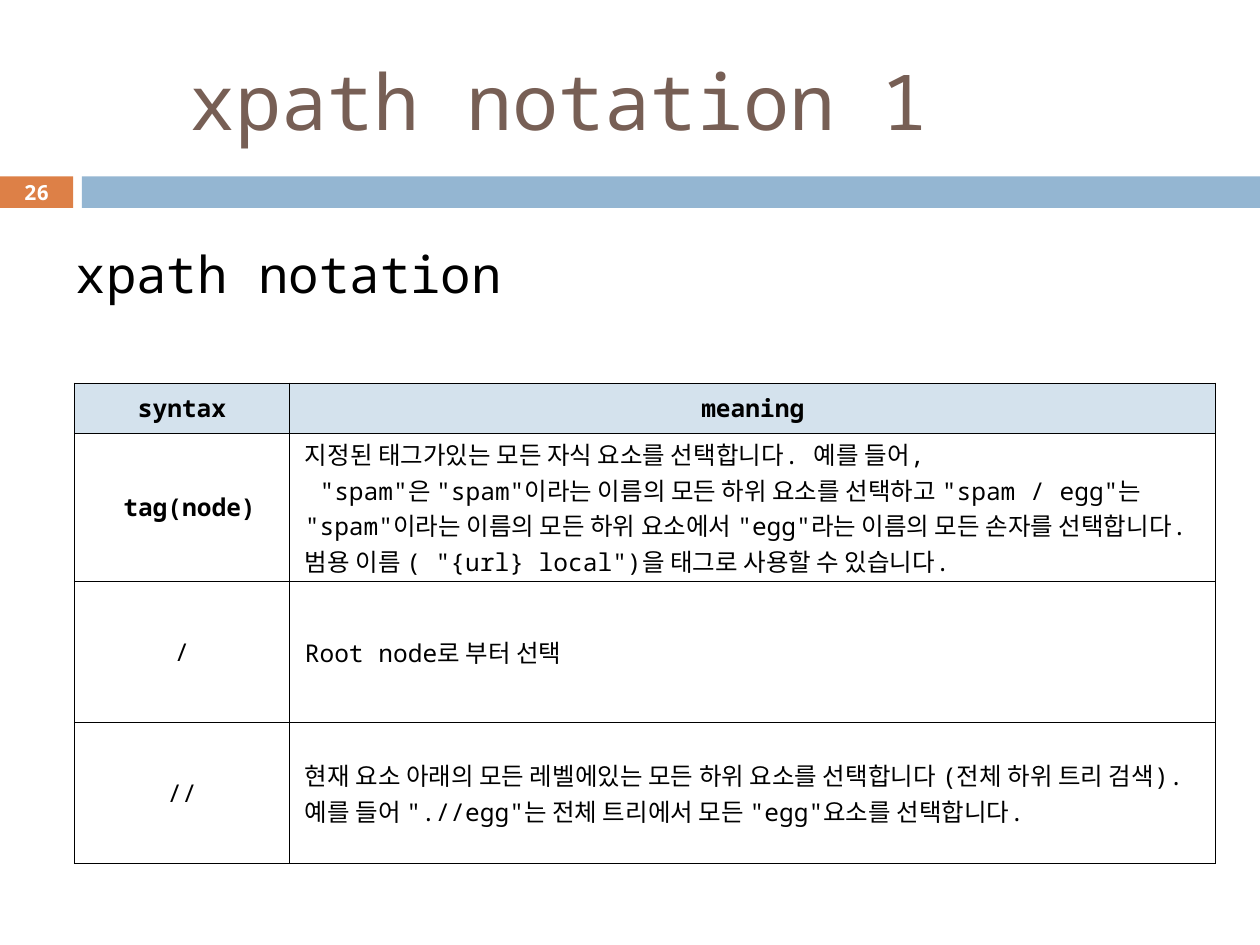
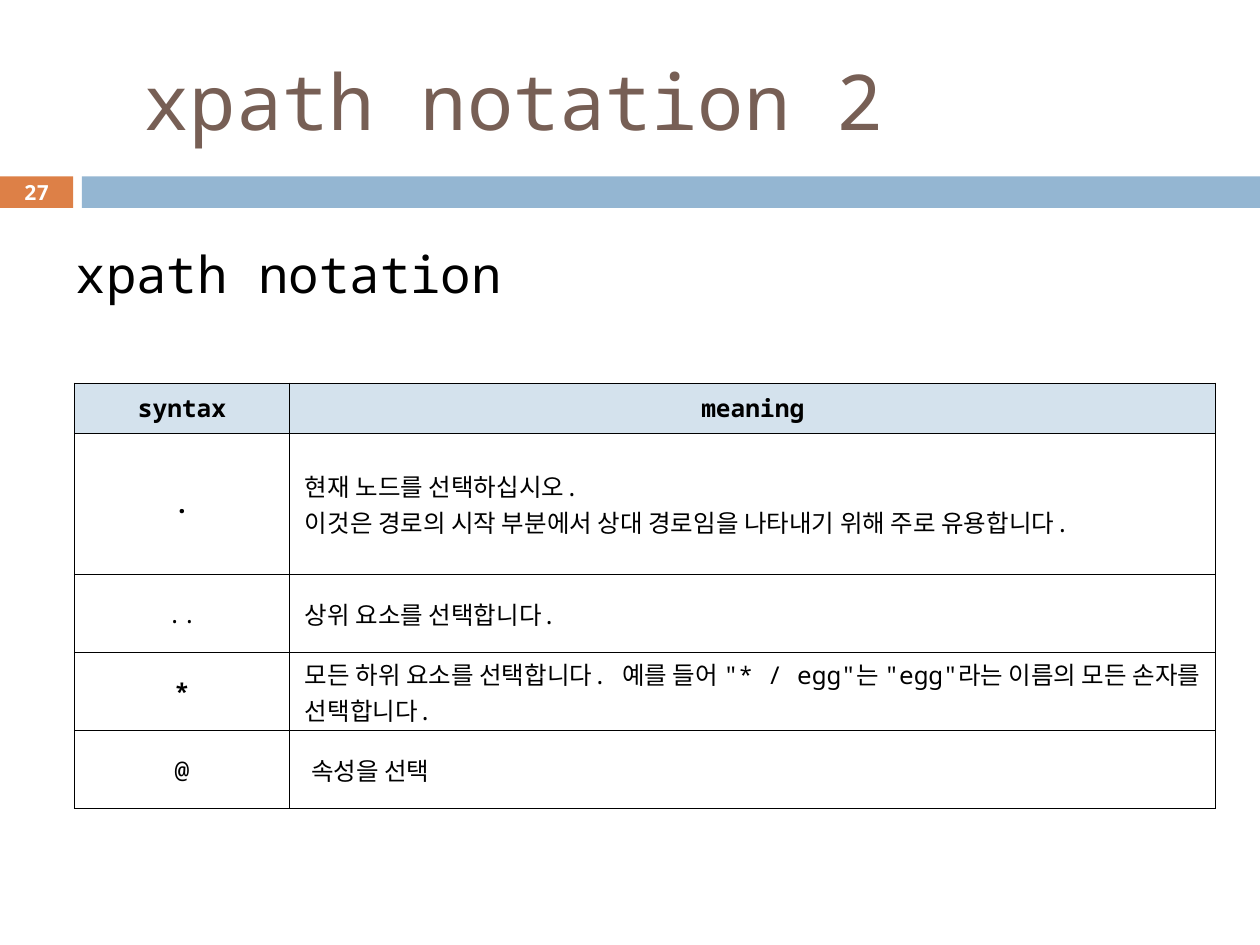
from dataclasses import dataclass

from lxml.etree import SubElement
from pptx import Presentation
from pptx.dml.color import RGBColor
from pptx.enum.shapes import MSO_SHAPE
from pptx.enum.text import MSO_ANCHOR, MSO_AUTO_SIZE, PP_ALIGN
from pptx.oxml.ns import qn
from pptx.util import Inches, Pt


@dataclass(frozen=True)
class Theme:
    font: str = "Noto Sans Mono"
    title: str = "775F55"
    text: str = "000000"
    number_band: str = "DD8047"
    band: str = "94B6D2"
    header: str = "D4E2ED"
    white: str = "FFFFFF"
    title_size: float = 44
    body_size: float = 29
    cell_size: float = 14
    number_size: float = 11.9
    border: float = 0.6


def rgb(value):
    return RGBColor.from_string(value)


def write(tf, text, *, font, size, color, bold=False, align=PP_ALIGN.LEFT,
          anchor=MSO_ANCHOR.MIDDLE, line_spacing=None, bullet=True):
    """Fill a text frame, one paragraph per line of text."""
    tf.word_wrap = True
    tf.vertical_anchor = anchor
    for i, line in enumerate(text.split("\n")):
        p = tf.paragraphs[0] if i == 0 else tf.add_paragraph()
        if not bullet:
            pPr = p._p.get_or_add_pPr()
            pPr.set("marL", "0")
            pPr.set("indent", "0")
            SubElement(pPr, qn("a:buNone"))
        p.alignment = align
        p.space_before = Pt(0)
        if line_spacing:
            p.line_spacing = line_spacing
        r = p.add_run()
        r.text = line
        r.font.name, r.font.size, r.font.bold = font, Pt(size), bold
        r.font.color.rgb = rgb(color)


def place(sp, left, top, width, height):
    sp.left, sp.top = Inches(left), Inches(top)
    sp.width, sp.height = Inches(width), Inches(height)


class Deck:
    def __init__(self, theme):
        self.theme = theme
        self.prs = Presentation()
        self.prs.slide_width, self.prs.slide_height = Inches(10), Inches(7.5)
        self.s = None

    def slide(self, number):
        t = self.theme
        self.s = self.prs.slides.add_slide(self.prs.slide_layouts[1])
        self.band(0, 0.58, t.number_band, str(number))
        self.band(0.65, 9.35, t.band)

    def band(self, left, width, color, text=""):
        t = self.theme
        sp = self.s.shapes.add_shape(
            MSO_SHAPE.RECTANGLE, Inches(left), Inches(1.4), Inches(width), Inches(0.25))
        sp.shadow.inherit = False
        sp.fill.solid()
        sp.fill.fore_color.rgb = rgb(color)
        sp.line.fill.background()
        if text:
            tf = sp.text_frame
            tf.margin_top = tf.margin_bottom = 0
            write(tf, text, font=t.font, size=t.number_size, color=t.white,
                  bold=True, align=PP_ALIGN.CENTER)

    def title(self, text, indent):
        t = self.theme
        sp = self.s.shapes.title
        place(sp, 0.67, 0.25, 8.92, 1.08)
        tf = sp.text_frame
        tf.auto_size = MSO_AUTO_SIZE.NONE
        tf.margin_left = Inches(0.1 + indent)
        write(tf, text, font=t.font, size=t.title_size, color=t.title)

    def body(self, text):
        t = self.theme
        sp = self.s.placeholders[1]
        place(sp, 0.5, 1.78, 9, 1.5)
        sp.text_frame.auto_size = MSO_AUTO_SIZE.NONE
        write(sp.text_frame, text, font=t.font, size=t.body_size, color=t.text,
              anchor=MSO_ANCHOR.TOP, line_spacing=1.2, bullet=False)

    def table(self, rows, heights):
        """Draw a syntax table; each row is (syntax, meaning, bold, indents)."""
        widths = (1.71, 7.35)
        rows = [("syntax", "meaning", True, (0, 0)), *rows]
        heights = (0.4, *heights)
        table = self.s.shapes.add_table(
            len(rows), len(widths), Inches(0.59), Inches(3.04),
            Inches(sum(widths)), Inches(sum(heights))).table
        table.first_row = table.horz_banding = False
        for column, width in zip(table.columns, widths):
            column.width = Inches(width)
        for i, (syntax, meaning, bold, indents) in enumerate(rows):
            table.rows[i].height = Inches(heights[i])
            header = i == 0
            self.cell(table.cell(i, 0), syntax, header, bold, True, indents[0])
            self.cell(table.cell(i, 1), meaning, header, header, header, indents[1])

    def cell(self, cell, text, header, bold, centered, indent):
        t = self.theme
        inset = 0.03 if centered else 0.12
        cell.margin_left, cell.margin_right = Inches(inset + indent), Inches(inset)
        cell.margin_top = cell.margin_bottom = Inches(0.02)
        cell.vertical_anchor = MSO_ANCHOR.MIDDLE
        self.borders(cell)
        cell.fill.solid()
        cell.fill.fore_color.rgb = rgb(t.header if header else t.white)
        write(cell.text_frame, text, font=t.font, size=t.cell_size, color=t.text,
              bold=bold, align=PP_ALIGN.CENTER if centered else PP_ALIGN.LEFT)
        cell.text_frame.vertical_anchor = None

    def borders(self, cell):
        tcPr = cell._tc.get_or_add_tcPr()
        for side in ("a:lnL", "a:lnR", "a:lnT", "a:lnB"):
            ln = SubElement(tcPr, qn(side), w=str(Pt(self.theme.border)))
            fill = SubElement(ln, qn("a:solidFill"))
            SubElement(fill, qn("a:srgbClr"), val=self.theme.text)


FLUSH = (0, 0)

NODE_ROWS = [
    ("tag(node)",
     '지정된 태그가있는 모든 자식 요소를 선택합니다. 예를 들어, "spam"은 '
     '"spam"이라는 이름의 모든 하위 요소를 선택하고 "spam / egg"는 '
     '"spam"이라는 이름의 모든 하위 요소에서 "egg"라는 이름의 모든 손자를 선택합니다. '
     '범용 이름 ( "{url} local")을 태그로 사용할 수 있습니다.', True, (0.12, 0)),
    ("/", "Root node로 부터 선택", False, FLUSH),
    ("//",
     '현재 요소 아래의 모든 레벨에있는 모든 하위 요소를 선택합니다 (전체 하위 트리 검색). '
     '예를 들어 ".//egg"는 전체 트리에서 모든 "egg"요소를 선택합니다.', False, FLUSH),
]

SYMBOL_ROWS = [
    (".",
     "현재 노드를 선택하십시오.\n"
     "이것은 경로의 시작 부분에서 상대 경로임을 나타내기 위해 주로 유용합니다.", True, FLUSH),
    ("..", "상위 요소를 선택합니다.", False, FLUSH),
    ("*",
     '모든 하위 요소를 선택합니다. 예를 들어 "* / egg"는 "egg"라는 이름의 모든 '
     '손자를 선택합니다.', True, FLUSH),
    ("@", "속성을 선택", False, (0, 0.05)),
]


def main():
    deck = Deck(Theme())
    slides = [
        (26, "xpath notation 1", 0.73, NODE_ROWS, (1.12, 1.12, 1.12)),
        (27, "xpath notation 2", 0.37, SYMBOL_ROWS, (1.12, 0.62, 0.62, 0.62)),
    ]
    for number, title, indent, rows, heights in slides:
        deck.slide(number)
        deck.title(title, indent)
        deck.body("xpath notation")
        deck.table(rows, heights)
    deck.prs.save("out.pptx")


if __name__ == "__main__":
    main()
